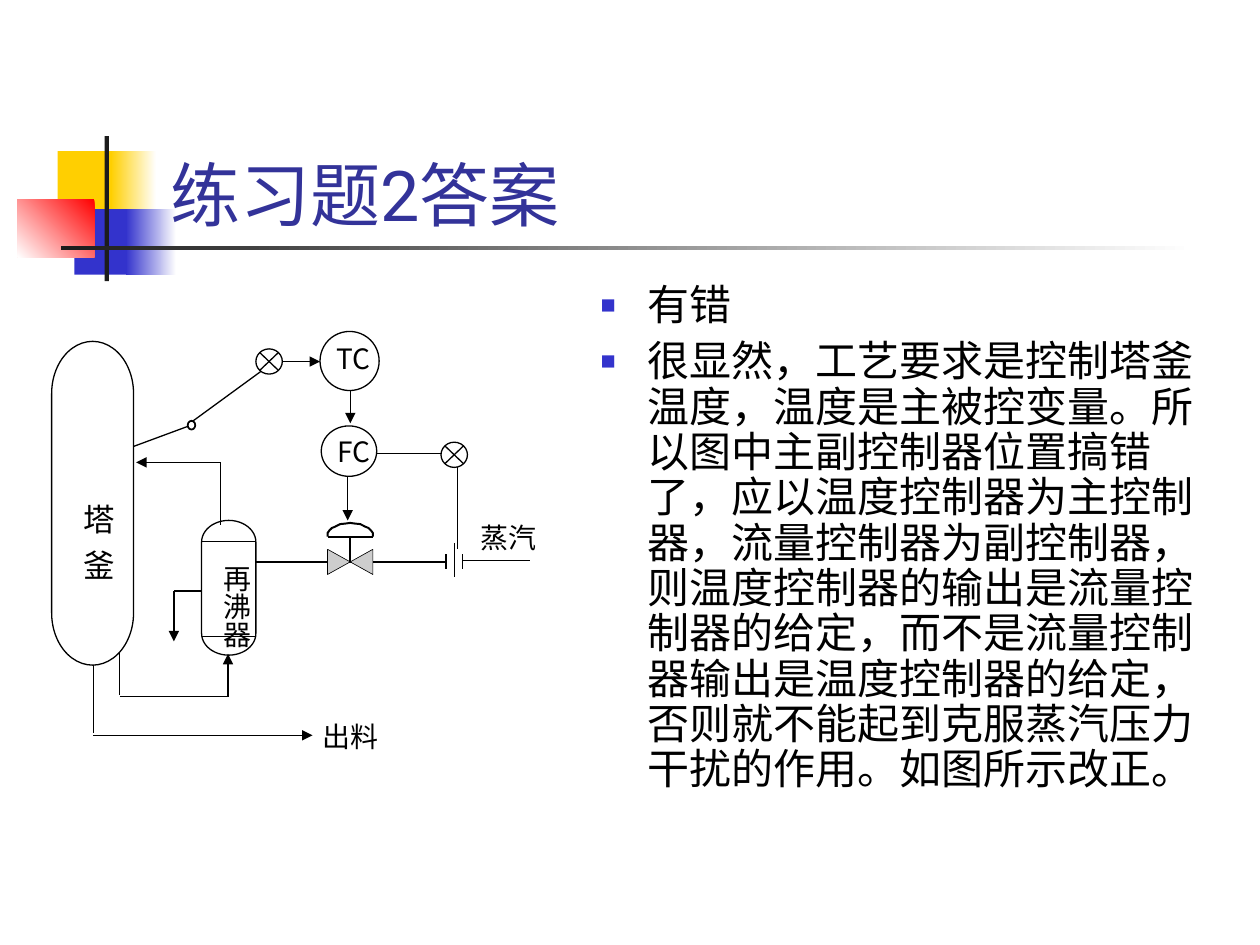
import pptx
import pptx.dml.color
import pptx.enum.shapes
import pptx.enum.text
import pptx.oxml
import pptx.oxml.ns
import pptx.util

Pt = pptx.util.Pt
RGB = pptx.dml.color.RGBColor.from_string
SHAPE = pptx.enum.shapes.MSO_SHAPE
ANCHOR = pptx.enum.text.MSO_ANCHOR
qn = pptx.oxml.ns.qn
NS = 'xmlns:a="http://schemas.openxmlformats.org/drawingml/2006/main"'
COLORS = {
    "yellow": "FFCF01", "blue": "3333CC", "red": "FF0000", "dark": "1C1C1C",
    "white": "FFFFFF", "black": "000000", "title": "333399", "valve": "CDCDCD",
}
CJK = "Noto Sans CJK SC"

deck = pptx.Presentation()
deck.slide_width, deck.slide_height = Pt(720), Pt(540)
slide = deck.slides.add_slide(deck.slide_layouts[6])
shapes = slide.shapes


def add_line(x1, y1, x2, y2, arrow=False, width=0.75):
    pipe = shapes.add_connector(
        pptx.enum.shapes.MSO_CONNECTOR.STRAIGHT, Pt(x1), Pt(y1), Pt(x2), Pt(y2))
    pipe.line.color.rgb = RGB(COLORS["black"])
    pipe.line.width = Pt(width)
    if arrow:
        pipe.line._get_or_add_ln().append(
            pptx.oxml.parse_xml(f'<a:tailEnd {NS} type="triangle"/>'))
    pipe._element.spPr.append(pptx.oxml.parse_xml(f"<a:effectLst {NS}/>"))


def add_text(box, paragraphs, size, font, color="black", vertical_top=None):
    frame = shapes.add_textbox(*map(Pt, box)).text_frame
    frame.word_wrap = True
    frame.text = "\n".join(paragraphs)
    if vertical_top is not None:
        frame._txBody.bodyPr.set("vert", "eaVert")
        frame.margin_left = frame.margin_right = Pt(3.6)
        frame.margin_top, frame.margin_bottom = Pt(vertical_top), Pt(0)
    for paragraph in frame.paragraphs:
        for run in paragraph.runs:
            run.font.size = Pt(size)
            run.font.name = font
            run.font.color.rgb = RGB(COLORS[color])
            run.font._element.find(qn("a:latin")).addnext(
                pptx.oxml.parse_xml(f'<a:ea {NS} typeface="{CJK}"/>'))
    return frame


# Corner blocks and title rule: box, gradient from, to, angle (None = solid)
decorations = [
    ((33, 86.4, 34.6, 37.4), "yellow", None, None),
    ((63.4, 86.4, 25.9, 37.4), "white", "yellow", 180),
    ((42.5, 119.5, 33.1, 37.4), "blue", None, None),
    ((72, 119.5, 28.8, 37.4), "white", "blue", 180),
    ((10, 113.8, 44, 33.1), "red", "white", 225),
    ((59.8, 77.8, 2.4, 82.8), "dark", None, None),
    ((34.6, 140.4, 648, 2.4), "white", "dark", 180),
]
for box, start, end, angle in decorations:
    block = shapes.add_shape(SHAPE.RECTANGLE, *map(Pt, box))
    block.shadow.inherit = False
    block.line.fill.background()
    if end is None:
        block.fill.solid()
        block.fill.fore_color.rgb = RGB(COLORS[start])
    else:
        block.fill.gradient()
        block.fill.gradient_angle = angle
        for stop, name in zip(block.fill.gradient_stops, (start, end)):
            stop.color.rgb = RGB(COLORS[name])

# Title
title = add_text((90.4, 48.4, 613.4, 90), ["练习题2答案"], 40, "Roboto", "title")
title.vertical_anchor = ANCHOR.BOTTOM

# Answer
answer = add_text((336.2, 159.1, 369.4, 324), [
    "有错",
    "很显然，工艺要求是控制塔釜温度，温度是主被控变量。所以图中主副控制器位置搞错了，"
    "应以温度控制器为主控制器，流量控制器为副控制器，则温度控制器的输出是流量控制器的给定，"
    "而不是流量控制器输出是温度控制器的给定，否则就不能起到克服蒸汽压力干扰的作用。如图所示改正。",
], 24, "Roboto")
for number, point in enumerate(answer.paragraphs):
    props = point._p.get_or_add_pPr()
    props.set("marL", str(Pt(27)))
    props.set("indent", str(-Pt(27)))
    props.set("hangingPunct", "0")
    for bullet in (
        f'<a:buClr {NS}><a:srgbClr val="{COLORS["blue"]}"/></a:buClr>',
        f'<a:buSzPct {NS} val="60000"/>',
        f'<a:buFont {NS} typeface="Arial"/>',
        f'<a:buChar {NS} char="■"/>',
    ):
        props.append(pptx.oxml.parse_xml(bullet))
    point.line_spacing = 0.9
    if number:
        point.space_before = Pt(6)

# Signal lines, behind the vessels and instruments
for signal in [
    (200.2, 211.7, 200.2, 241.9, True),
    (109.4, 241.2, 151.9, 210.2),
    (198.7, 267.1, 198.7, 297.4, True),
    (212.4, 259.2, 260.6, 259.2),
    (261.4, 261.4, 261.4, 313.9),
    (69.1, 257.8, 108, 243.4),
    (151.2, 206.6, 182.9, 206.6, True),
]:
    add_line(*signal)

# Vessels and instruments: preset, box, rotation, line width
equipment = [
    (SHAPE.FLOWCHART_TERMINATOR, (-39.6, 264.2, 185, 46.8), 90, 0.75),
    (SHAPE.FLOWCHART_TERMINATOR, (92.2, 320.4, 77, 31), 90, 0.75),
    (SHAPE.OVAL, (107.3, 240.5, 4.3, 5), 0, 1),
    (SHAPE.FLOWCHART_SUMMING_JUNCTION, (146.2, 199.4, 15.1, 14.4), 0, 0.75),
    (SHAPE.FLOWCHART_SUMMING_JUNCTION, (252, 252.7, 15.1, 14.4), 0, 0.75),
    (SHAPE.OVAL, (183.6, 243.4, 31.7, 28.8), 0, 0.75),
    (SHAPE.OVAL, (182.9, 189.4, 33.8, 33.8), 0, 0.75),
]
for preset, box, rotation, width in equipment:
    unit = shapes.add_shape(preset, *map(Pt, box))
    unit.rotation = rotation
    unit.shadow.inherit = False
    unit.fill.solid()
    unit.fill.fore_color.rgb = RGB(COLORS["white"])
    unit.line.color.rgb = RGB(COLORS["black"])
    unit.line.width = Pt(width)

# Process pipes, orifice plate and reboiler tube sheets
for pipe_run in [
    (53.3, 380.2, 53.3, 419),
    (53.3, 420.2, 178.6, 420.2, True),
    (254.9, 316.8, 254.9, 325.4),
    (264.2, 316.8, 264.2, 325.4),
    (259.9, 310.3, 259.9, 329.8),
    (115.2, 309.6, 146.2, 309.6),
    (115.2, 363.6, 146.2, 363.6),
    (68.4, 373, 68.4, 397.4),
    (68.4, 398.2, 130.3, 398.2),
    (130.3, 398.2, 130.3, 373.7, True),
    (115.2, 337.7, 99.4, 337.7),
    (99.4, 337.7, 99.4, 366.5, True),
    (146.2, 321.1, 254.9, 321.1),
    (264.2, 320.4, 303.1, 320.4),
    (126, 264.2, 77.8, 264.2, True),
    (126, 264.2, 126, 300.2),
]:
    add_line(*pipe_run)

# Control valve: body and dome outlines, then stem and diaphragm
body = [(213.1, 328.3), (213.1, 313.9), (187.2, 328.3), (187.2, 313.9)]
half_dome = [(0, 306.7), (0, 304.6), (1.1, 303.1), (2.5, 301.7), (4.3, 301),
             (7.2, 299.5), (10.1, 299.2)]
dome = ([(187.2 + x, y) for x, y in half_dome] + [(200.15, 298.8)]
        + [(213.1 - x, y) for x, y in reversed(half_dome)])
for outline, closed, width in [(body, True, 0.37), (dome, False, 1.13)]:
    corners = [(Pt(x), Pt(y)) for x, y in outline]
    builder = shapes.build_freeform(*corners[0])
    builder.add_line_segments(corners[1:], close=closed)
    part = builder.convert_to_shape()
    part.shadow.inherit = False
    part.line.color.rgb = RGB(COLORS["black"])
    part.line.width = Pt(width)
    if closed:
        part.fill.solid()
        part.fill.fore_color.rgb = RGB(COLORS["valve"])
    else:
        part.fill.background()
add_line(200.2, 321.1, 200.2, 306.7, width=1.13)
add_line(187.2, 306.7, 213.1, 306.7, width=1.13)

# Labels
for label, box, font in [
    ("蒸汽", (267.5, 293.8, 72, 40.3), "Times New Roman"),
    ("出料", (177.1, 407.5, 69.8, 42.5), "Times New Roman"),
    ("FC", (185.8, 244.8, 38.9, 42.5), CJK),
    ("TC", (185, 191.5, 38.9, 42.5), CJK),
]:
    add_text(box, [label], 16, font)
add_text((101.5, 310.3, 46.8, 72), ["再沸器"], 16, "Times New Roman", vertical_top=12.6)
tower = add_text((24.2, 273.6, 46.1, 72), ["塔 釜"], 18, "Times New Roman", vertical_top=14.4)
tower.paragraphs[0].runs[0].font._element.set("spc", "200")

deck.save("out.pptx")
